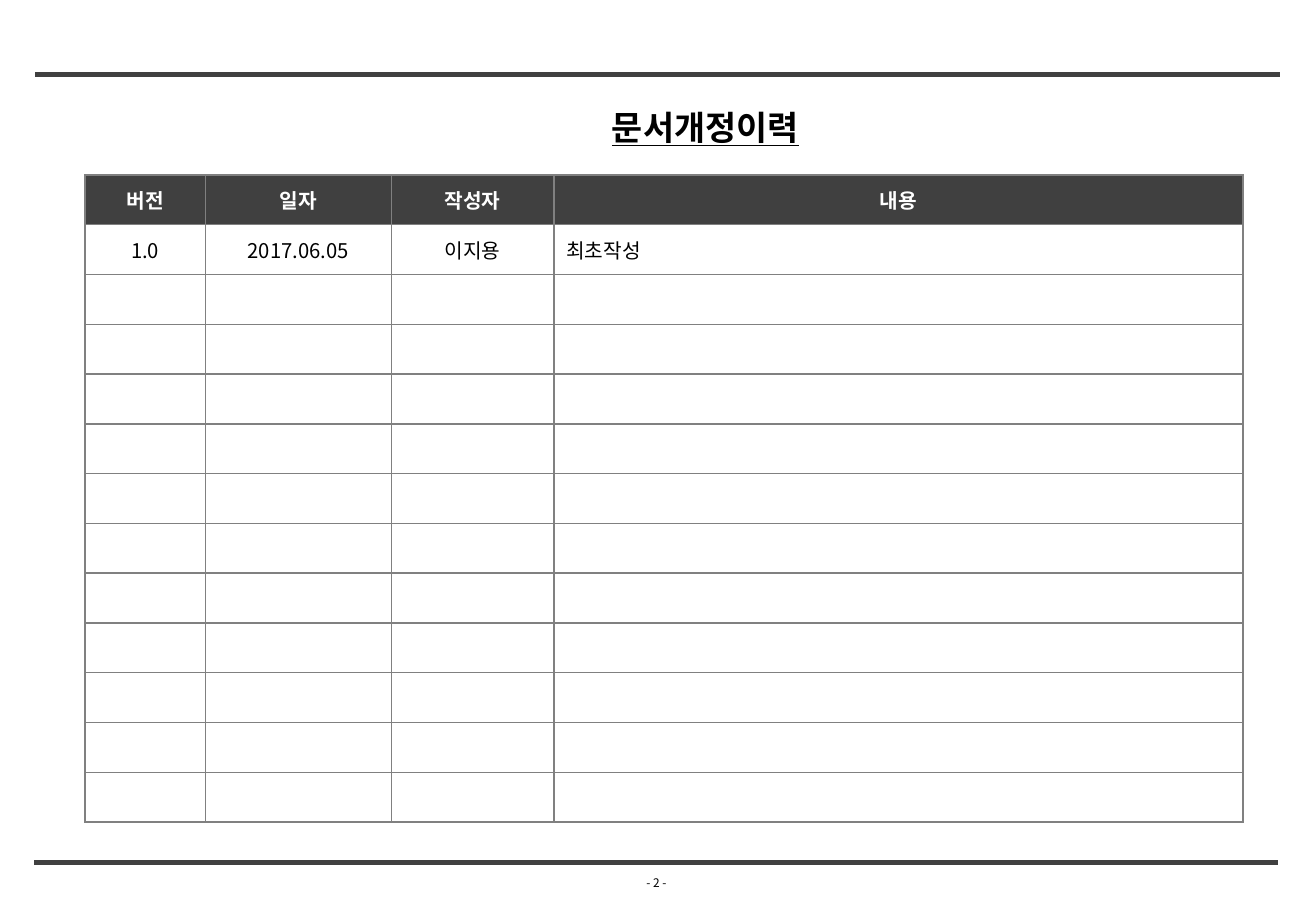
from lxml import etree
from pptx import Presentation
from pptx.dml.color import RGBColor
from pptx.enum.shapes import MSO_CONNECTOR
from pptx.enum.text import MSO_ANCHOR, PP_ALIGN
from pptx.oxml.ns import qn
from pptx.util import Pt

CENTER, LEFT, RIGHT = PP_ALIGN.CENTER, PP_ALIGN.LEFT, PP_ALIGN.RIGHT
MIDDLE = MSO_ANCHOR.MIDDLE
STRAIGHT = MSO_CONNECTOR.STRAIGHT

PX = 9144
PAGE_SIZE = (1083, 750)
FONT = "Noto Sans CJK KR"
COLORS = {"dark": "404040", "grid": "808080", "black": "000000", "white": "FFFFFF"}

TITLE = "문서개정이력"
PAGE_NUMBER = " - 2 -"
HEADERS = ["버전", "일자", "작성자", "내용"]
REVISIONS = [["1.0", "2017.06.05", "이지용", "최초작성"]]
EMPTY_ROWS = 11

RULES = [(28, 710), (29, 61)]
RULE_LENGTH = 1024
TABLE_LEFT, TABLE_TOP = 70, 144
COLUMN_WIDTHS = [99, 153, 134, 567]
ROW_HEIGHT = 41
CELL_POINTS = 12


def px(*lengths):
    return [length * PX for length in lengths]


def color(name):
    return RGBColor.from_string(COLORS[name])


def style(para, size, tone, align, bold=False, underline=None):
    para.alignment = align
    font = para.font
    font.size = Pt(size)
    font.bold = bold
    font.underline = underline
    font.color.rgb = color(tone)
    font.name = FONT
    etree.SubElement(font._element, qn("a:ea"), typeface=FONT)


def add_text(page, frame, text, wrap, *look):
    box = page.shapes.add_textbox(*px(*frame))
    box.text_frame.word_wrap = wrap
    para = box.text_frame.paragraphs[0]
    para.text = text
    style(para, *look)


def add_rule(page, left, top):
    rule = page.shapes.add_connector(STRAIGHT, *px(left, top, left + RULE_LENGTH, top))
    rule.line.color.rgb = color("dark")
    rule.line.width = Pt(3)
    etree.SubElement(rule._element.spPr, qn("a:effectLst"))


def add_borders(cell):
    properties = cell._tc.get_or_add_tcPr()
    for side in ("lnL", "lnR", "lnT", "lnB"):
        line = etree.SubElement(properties, qn(f"a:{side}"), w=str(Pt(1)))
        fill = etree.SubElement(line, qn("a:solidFill"))
        etree.SubElement(fill, qn("a:srgbClr"), val=COLORS["grid"])


def fill_cell(cell, text, is_header, align):
    add_borders(cell)
    cell.vertical_anchor = MIDDLE
    if is_header:
        cell.fill.solid()
        cell.fill.fore_color.rgb = color("dark")
    else:
        cell.fill.background()
    para = cell.text_frame.paragraphs[0]
    if text:
        para.text = text
        para.space_before = Pt(2.4)
    style(para, CELL_POINTS, "white" if is_header else "black", align, is_header)
    if not text:
        etree.SubElement(para._p, qn("a:endParaRPr"), sz=str(CELL_POINTS * 100))


def add_history(page):
    rows = [HEADERS] + REVISIONS + [[""] * len(HEADERS)] * EMPTY_ROWS
    frame = px(TABLE_LEFT, TABLE_TOP, sum(COLUMN_WIDTHS), ROW_HEIGHT * len(rows))
    table = page.shapes.add_table(len(rows), len(HEADERS), *frame).table
    for column, width in zip(table.columns, COLUMN_WIDTHS):
        column.width = width * PX
    for r, texts in enumerate(rows):
        table.rows[r].height = ROW_HEIGHT * PX
        for c, text in enumerate(texts):
            is_header = r == 0
            is_description = c == len(HEADERS) - 1
            align = LEFT if is_description and not is_header else CENTER
            fill_cell(table.cell(r, c), text, is_header, align)


def main():
    deck = Presentation()
    deck.slide_width, deck.slide_height = px(*PAGE_SIZE)
    page = deck.slides.add_slide(deck.slide_layouts[6])
    add_text(page, (520, 716, 51, 22), PAGE_NUMBER, False, 7, "black", LEFT)
    for left, top in RULES:
        add_rule(page, left, top)
    add_text(page, (478, 83, 189, 44), TITLE, True, 20, "black", RIGHT, True, True)
    add_history(page)
    deck.save("out.pptx")


if __name__ == "__main__":
    main()
